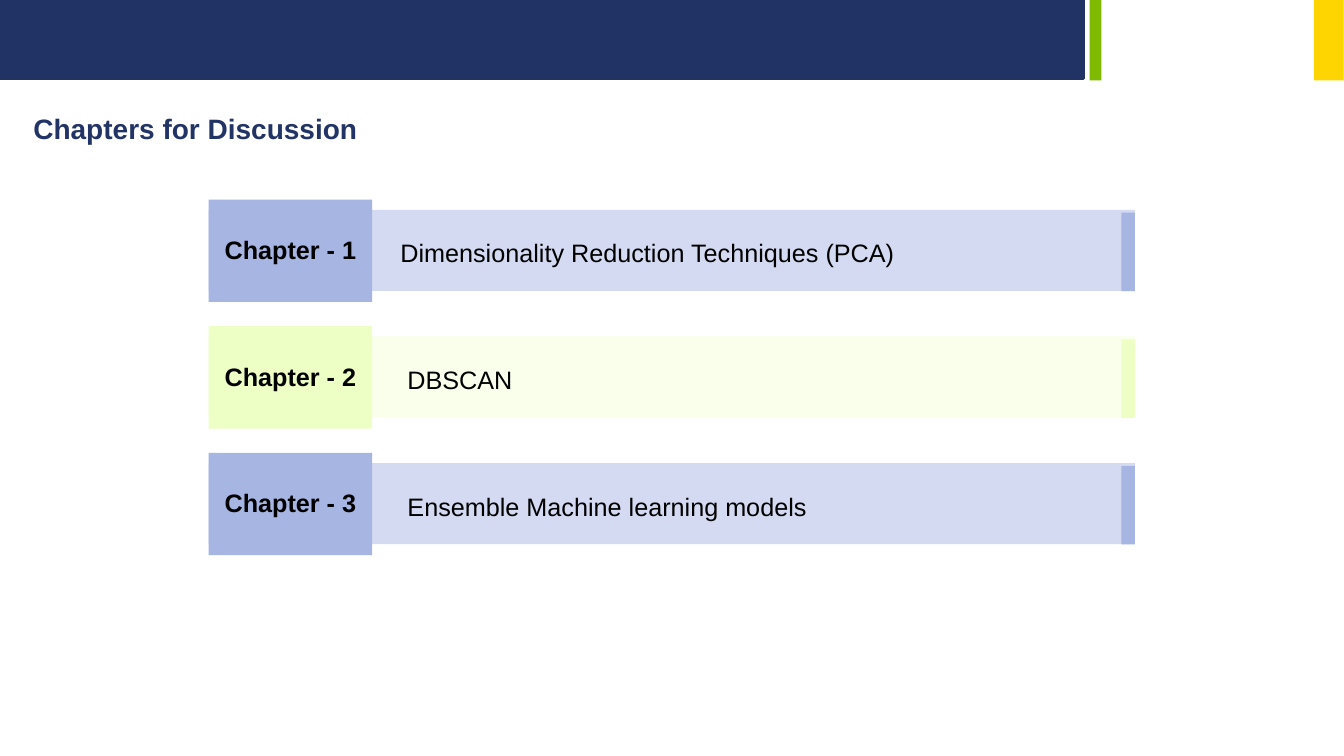
from pptx import Presentation
from pptx.dml.color import RGBColor
from pptx.enum.shapes import MSO_SHAPE
from pptx.enum.text import MSO_AUTO_SIZE, PP_ALIGN
from pptx.util import Cm, Pt

RECTANGLE = MSO_SHAPE.RECTANGLE
GROW = MSO_AUTO_SIZE.SHAPE_TO_FIT_TEXT
LEFT, CENTER = PP_ALIGN.LEFT, PP_ALIGN.CENTER

COLORS = {
    "navy": "213264",
    "green": "7FBA00",
    "yellow": "FED500",
    "heading": "223366",
    "black": "000000",
    "blue": "A7B5E3",
    "pale blue": "D3DAF1",
    "lime": "EDFFC5",
    "pale lime": "F9FFEB",
}

CHAPTERS = [
    ("Dimensionality Reduction Techniques (PCA)", "blue", 0.18),
    ("DBSCAN", "lime", 0.36),
    ("Ensemble Machine learning models", "blue", 0.36),
]
ROW_LEFT = 5.26
ROW_TOP = 5.03
ROW_PITCH = 3.19
ROW_WIDTH = 23.34
TAG_WIDTH = 4.12
CAP_WIDTH = 0.34


def color(name):
    return RGBColor.from_string(COLORS[name])


def add_block(shapes, left, top, width, height, fill, outline=None):
    block = shapes.add_shape(RECTANGLE, Cm(left), Cm(top), Cm(width), Cm(height))
    block.shadow.inherit = False
    block.fill.solid()
    block.fill.fore_color.rgb = color(fill)
    if outline:
        block.line.color.rgb = color(fill)
        block.line.width = Pt(outline)
    else:
        block.line.fill.background()


def add_text(shapes, text, left, top, width, height, size=18, bold=False,
             ink="black", align=LEFT, indent=0):
    box = shapes.add_textbox(Cm(left), Cm(top), Cm(width), Cm(height))
    frame = box.text_frame
    frame.word_wrap = True
    frame.auto_size = GROW
    frame.margin_left = Cm(0.33 + indent)
    frame.margin_right = Cm(0.33)
    frame.margin_top = frame.margin_bottom = Cm(0.17)
    paragraph = frame.paragraphs[0]
    paragraph.alignment = align
    run = paragraph.add_run()
    run.text = text
    run.font.name = "Arial"
    run.font.size = Pt(size)
    run.font.bold = bold
    run.font.color.rgb = color(ink)


def add_header(shapes):
    add_block(shapes, 0, 0, 27.3, 1.98, "navy", outline=2)
    add_block(shapes, 27.46, 0, 0.3, 2.03, "green")
    add_block(shapes, 33.12, 0, 0.74, 2.03, "yellow")


def add_chapter(shapes, number, topic, accent, indent):
    row = shapes.add_group_shape().shapes
    top = ROW_TOP + (number - 1) * ROW_PITCH
    cap_left = ROW_LEFT + ROW_WIDTH - CAP_WIDTH
    add_block(row, ROW_LEFT, top + 0.26, ROW_WIDTH, 2.04, f"pale {accent}")
    add_block(row, ROW_LEFT, top, TAG_WIDTH, 2.58, accent)
    add_text(row, f"Chapter - {number}", ROW_LEFT, top + 0.71, TAG_WIDTH, 1.12,
             bold=True, align=CENTER)
    add_text(row, topic, 9.58, top + 0.79, 17.4, 1.12, indent=indent)
    add_block(row, cap_left, top + 0.33, CAP_WIDTH, 1.98, accent)


def main():
    deck = Presentation()
    deck.slide_width = Cm(33.87)
    deck.slide_height = Cm(19.05)
    shapes = deck.slides.add_slide(deck.slide_layouts[6]).shapes
    add_header(shapes)
    add_text(shapes, "Chapters for Discussion", 0.51, 2.64, 12.73, 1.2,
             size=20, bold=True, ink="heading")
    for number, (topic, accent, indent) in enumerate(CHAPTERS, 1):
        add_chapter(shapes, number, topic, accent, indent)
    deck.save("out.pptx")


if __name__ == "__main__":
    main()
